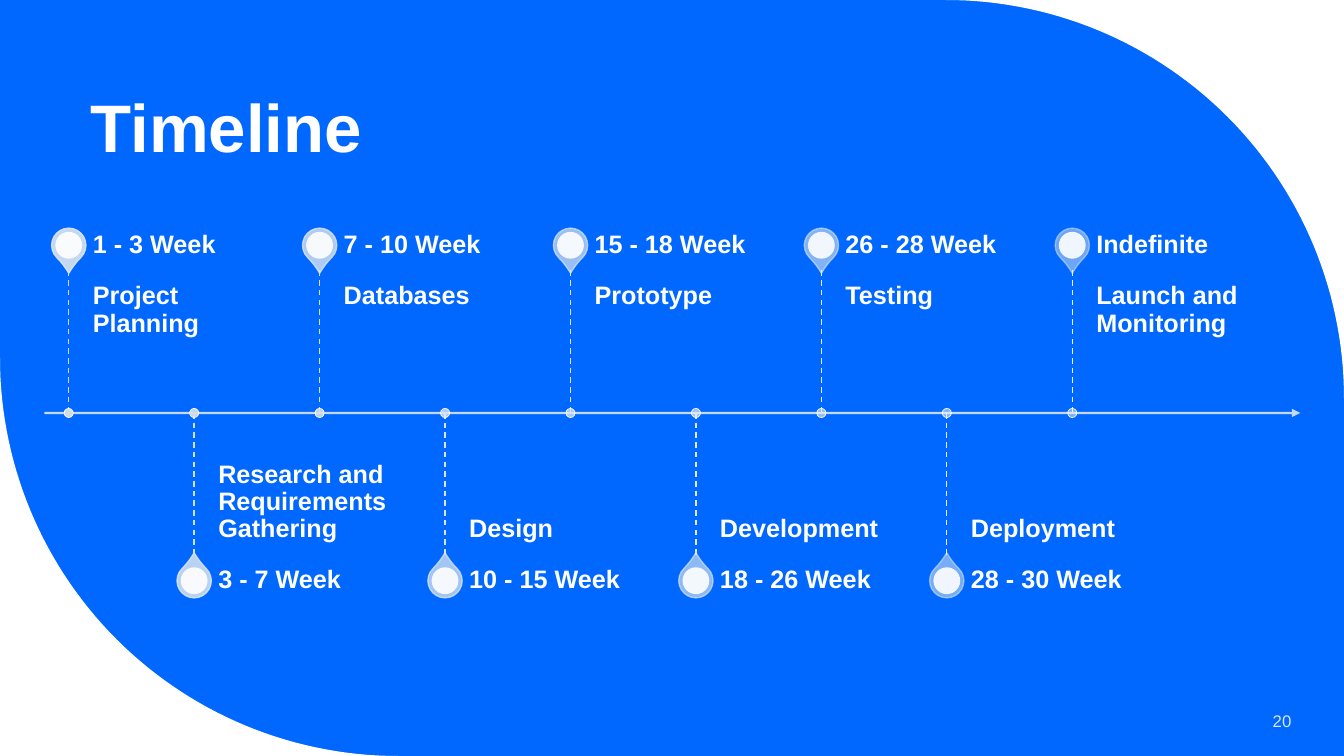
import math

import lxml.etree
import pptx
import pptx.dml.color
import pptx.enum.dml
import pptx.enum.shapes
import pptx.enum.text
import pptx.oxml.ns
import pptx.util

Pt = pptx.util.Pt
RGBColor = pptx.dml.color.RGBColor
SHAPE = pptx.enum.shapes.MSO_SHAPE
ANCHOR = pptx.enum.text.MSO_ANCHOR
ALIGN = pptx.enum.text.PP_ALIGN
qn = pptx.oxml.ns.qn

BLUE = RGBColor(0x00, 0x68, 0xFF)
WHITE = RGBColor(0xFF, 0xFF, 0xFF)
PALE = RGBColor(0xDA, 0xE5, 0xEF)
STEM_FIRST = RGBColor(0xD0, 0xDB, 0xE4)
STEM_LAST = RGBColor(0xEE, 0xF3, 0xF7)

FONT = "Arial"
WIDTH, HEIGHT = 960, 540
CORNER = 284.4
AXIS_Y = 295
FIRST_X, STEP = 49.1, 89.6
STEM = 101.8
PIN_REACH = 119.8
LABEL_WIDTH, WEEK_HEIGHT = 145.4, 36

# Milestones alternate above and below the axis
MILESTONES = [
    ("1 - 3 Week", "Project Planning"),
    ("3 - 7 Week", "Research and Requirements Gathering"),
    ("7 - 10 Week", "Databases"),
    ("10 - 15 Week", "Design"),
    ("15 - 18 Week", "Prototype"),
    ("18 - 26 Week", "Development"),
    ("26 - 28 Week", "Testing"),
    ("28 - 30 Week", "Deployment"),
    ("Indefinite", "Launch and Monitoring"),
]


def add_xml(parent, tag, **attributes):
    lxml.etree.SubElement(parent, qn(tag), attributes)


def set_opacity(properties, percent):
    """Set the opacity of every colour in a part of a shape's properties."""
    for color in properties.iter(qn("a:srgbClr")):
        add_xml(color, "a:alpha", val=str(round(percent * 1000)))


def write_text(frame, text, size, color, bold=True, anchor=ANCHOR.TOP,
               align=ALIGN.LEFT, spacing=0.9, insets=(7.2, 3.6, 7.2, 3.6)):
    frame.word_wrap = True
    frame.auto_size = pptx.enum.text.MSO_AUTO_SIZE.NONE
    frame.vertical_anchor = anchor
    (frame.margin_left, frame.margin_top,
     frame.margin_right, frame.margin_bottom) = map(Pt, insets)
    paragraph = frame.paragraphs[0]
    paragraph.alignment = align
    paragraph.line_spacing = spacing
    run = paragraph.add_run()
    run.text = text
    run.font.name = FONT
    run.font.size = Pt(size)
    run.font.bold = bold
    run.font.color.rgb = color


def add_text(slide, text, left, top, width, height, size=18, color=WHITE, **style):
    box = slide.shapes.add_textbox(Pt(left), Pt(top), Pt(width), Pt(height))
    write_text(box.text_frame, text, size, color, **style)


def set_outline(shape, color, weight):
    shape.line.color.rgb = color
    shape.line.width = Pt(weight)


def add_round(slide, kind, x, y, size, fill, opacity):
    """Add a filled shape centred on a point."""
    shape = slide.shapes.add_shape(
        kind, Pt(x - size / 2), Pt(y - size / 2), Pt(size), Pt(size))
    shape.shadow.inherit = False
    shape.fill.solid()
    shape.fill.fore_color.rgb = fill
    shape.line.fill.background()
    set_opacity(shape._element.spPr, opacity)
    return shape


def add_line(slide, start, end, color, weight):
    line = slide.shapes.add_connector(
        pptx.enum.shapes.MSO_CONNECTOR.STRAIGHT, *map(Pt, start + end))
    set_outline(line, color, weight)
    add_xml(line._element.spPr, "a:effectLst")
    return line


def add_corner(slide, corner, center, start_angle):
    """Fill the area between a slide corner and a quarter circle."""
    angles = [math.radians(start_angle + 1.5 * step) for step in range(61)]
    points = [(Pt(center[0] + CORNER * math.cos(angle)),
               Pt(center[1] + CORNER * math.sin(angle))) for angle in angles]
    builder = slide.shapes.build_freeform(Pt(corner[0]), Pt(corner[1]))
    builder.add_line_segments(points, close=True)
    shape = builder.convert_to_shape()
    shape.shadow.inherit = False
    shape.fill.solid()
    shape.fill.fore_color.rgb = WHITE
    shape.line.fill.background()


def add_title(slide, text):
    title = slide.shapes.title
    title.left, title.top = Pt(57.6), Pt(18.7)
    title.width, title.height = Pt(769.7), Pt(104.4)
    write_text(title.text_frame, text, 48, WHITE, anchor=ANCHOR.BOTTOM)


def add_axis(slide):
    axis = add_line(slide, (31.7, AXIS_Y), (928.8, AXIS_Y), PALE, 1.5)
    outline = axis._element.spPr.find(qn("a:ln"))
    add_xml(outline, "a:tailEnd", type="triangle")
    set_opacity(outline, 90)


def add_milestone(slide, index, week, name):
    above = index % 2 == 0
    side = -1 if above else 1
    x = FIRST_X + index * STEP
    share = index / (len(MILESTONES) - 1)
    pin_y = AXIS_Y + side * PIN_REACH
    pin_opacity = 90 - 5 * index
    stem_end = AXIS_Y + side * STEM
    stem_color = RGBColor(*(round(first + (last - first) * share)
                            for first, last in zip(STEM_FIRST, STEM_LAST)))

    # Pin
    pin = add_round(slide, SHAPE.TEAR, x, pin_y, 24.5, PALE, pin_opacity)
    pin.adjustments[0] = 1.15
    pin.rotation = 135 if above else 315
    set_outline(pin, PALE, 1)
    set_opacity(pin._element.spPr.find(qn("a:ln")), pin_opacity)
    add_round(slide, SHAPE.OVAL, x, pin_y, 19.2, WHITE, 90)

    # Labels
    left = x + 17.2
    add_text(slide, name, left, min(AXIS_Y, stem_end), LABEL_WIDTH, STEM,
             anchor=ANCHOR.TOP if above else ANCHOR.BOTTOM,
             insets=(0, 9, 9, 13.7) if above else (0, 13.7, 0, 9))
    add_text(slide, week, left, stem_end - (WEEK_HEIGHT if above else 0),
             LABEL_WIDTH, WEEK_HEIGHT, anchor=ANCHOR.MIDDLE, insets=(0, 0, 9, 0))

    # Stem and dot on the axis
    stem = add_line(slide, (x, min(AXIS_Y, stem_end)),
                    (x, max(AXIS_Y, stem_end)), stem_color, 1)
    stem.line.dash_style = pptx.enum.dml.MSO_LINE.DASH
    dot = add_round(slide, SHAPE.OVAL, x, AXIS_Y, 6.5, stem_color, 100 - 50 * share)
    set_outline(dot, WHITE, 0.5)


def main():
    presentation = pptx.Presentation()
    presentation.slide_width, presentation.slide_height = Pt(WIDTH), Pt(HEIGHT)
    slide = presentation.slides.add_slide(presentation.slide_layouts[5])

    # Background with rounded corners
    slide.background.fill.solid()
    slide.background.fill.fore_color.rgb = BLUE
    add_corner(slide, (WIDTH, 0), (WIDTH - CORNER, CORNER), 270)
    add_corner(slide, (0, HEIGHT), (CORNER, HEIGHT - CORNER), 90)

    # Timeline
    add_title(slide, "Timeline")
    add_axis(slide)
    for index, (week, name) in enumerate(MILESTONES):
        add_milestone(slide, index, week, name)

    # Slide number
    add_text(slide, "20", 799.2, 500.4, 130.3, 28.8, size=12, color=PALE,
             bold=False, anchor=ANCHOR.MIDDLE, align=ALIGN.RIGHT, spacing=1.0)

    presentation.save("out.pptx")


if __name__ == "__main__":
    main()
